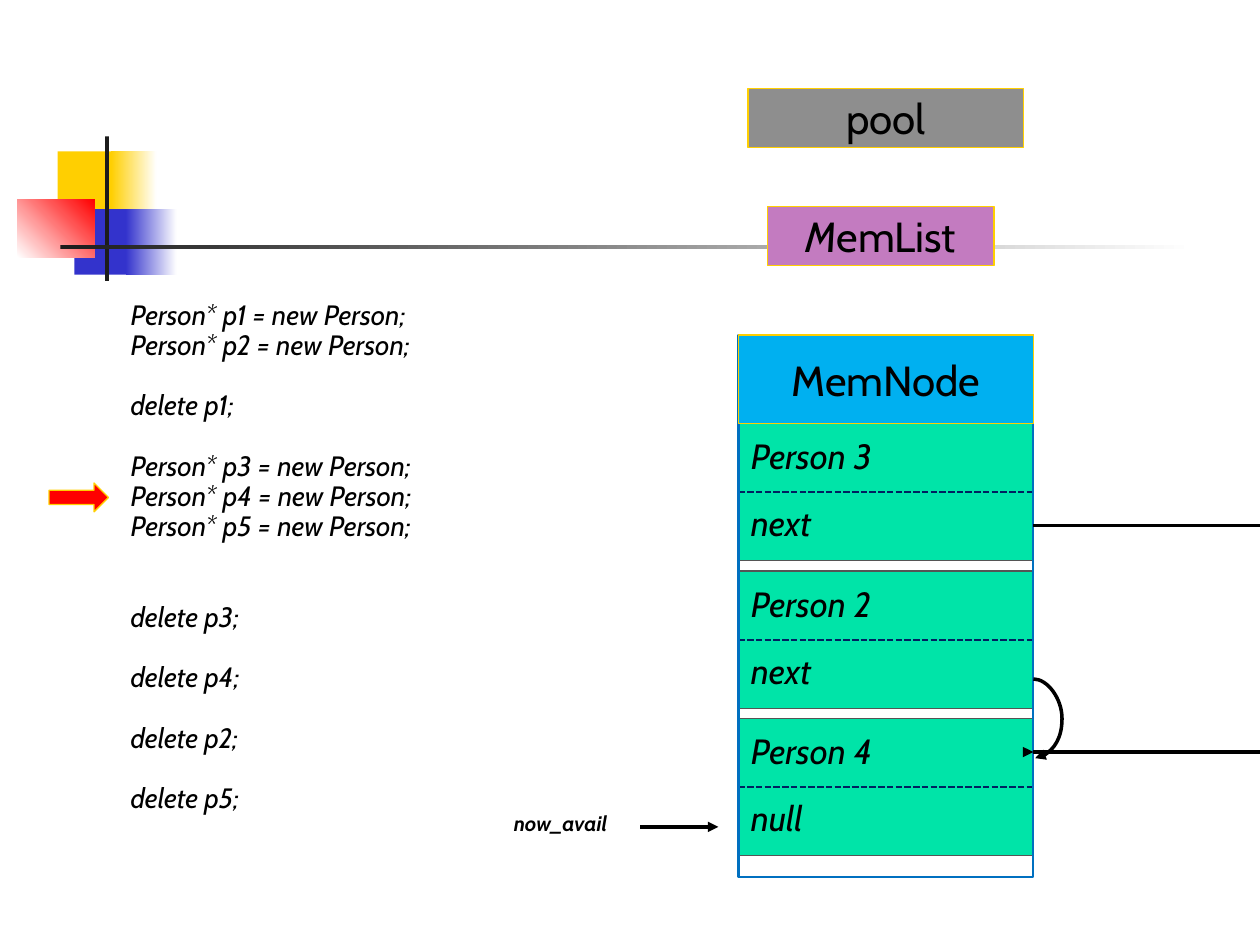
from pptx import Presentation
from pptx.dml.color import RGBColor
from pptx.enum.dml import MSO_LINE
from pptx.enum.shapes import MSO_CONNECTOR, MSO_SHAPE
from pptx.enum.text import MSO_ANCHOR, PP_ALIGN
from pptx.oxml.ns import qn
from pptx.util import Pt
from lxml.etree import SubElement

FONT = "Cabin"
BLACK = RGBColor(0x00, 0x00, 0x00)
WHITE = RGBColor(0xFF, 0xFF, 0xFF)
CHARCOAL = RGBColor(0x1C, 0x1C, 0x1C)
GRAY = RGBColor(0x8E, 0x8E, 0x8E)
DARK_GRAY = RGBColor(0x55, 0x55, 0x55)
YELLOW = RGBColor(0xFF, 0xCF, 0x01)
INDIGO = RGBColor(0x33, 0x33, 0xCC)
RED = RGBColor(0xFF, 0x00, 0x00)
PURPLE = RGBColor(0xC3, 0x7B, 0xC0)
SKY = RGBColor(0x00, 0xB0, 0xF0)
GREEN = RGBColor(0x00, 0xE4, 0xA8)
BLUE = RGBColor(0x00, 0x70, 0xC0)
NAVY = RGBColor(0x00, 0x20, 0x60)

NODE_LEFT, NODE_WIDTH = 422, 168.5
NODE_RIGHT = NODE_LEFT + NODE_WIDTH
BLOCK_TOP, BLOCK_HEIGHT, BLOCK_PITCH = 242, 78.5, 84.25
SLIDE_WIDTH, SLIDE_HEIGHT = 720, 540
CODE_PITCH = 17.25
BLOCKS = [("Person 3", "next"), ("Person 2", "next"), ("Person 4", "null")]
CODE = [
    (0, "Person* p1 = new Person;"),
    (0, "Person* p2 = new Person;"),
    (1, "delete p1;"),
    (1, "Person* p3 = new Person;"),
    (0, "Person* p4 = new Person;"),
    (0, "Person* p5 = new Person;"),
    (2, "delete p3;"),
    (1, "delete p4;"),
    (1, "delete p2;"),
    (1, "delete p5;"),
]


def add_run(paragraph, text, size, italic=False, bold=False):
    """Append one black run to a paragraph."""
    run = paragraph.add_run()
    run.text = text
    run.font.name = FONT
    run.font.size = Pt(size)
    run.font.italic = italic
    run.font.bold = bold
    run.font.color.rgb = BLACK


def add_box(slide, box, fill=None, line=None, width=0.75, kind=MSO_SHAPE.RECTANGLE):
    """Add a preset shape with an optional solid fill and outline."""
    shape = slide.shapes.add_shape(kind, *map(Pt, box))
    shape.shadow.inherit = False
    if fill is None:
        shape.fill.background()
    else:
        shape.fill.solid()
        shape.fill.fore_color.rgb = fill
    if line is None:
        shape.line.fill.background()
    else:
        shape.line.color.rgb = line
        shape.line.width = Pt(width)
    return shape


def add_gradient_box(slide, box, start, end, angle=0):
    """Add a borderless rectangle that fades between two colours."""
    shape = add_box(slide, box, start)
    shape.fill.gradient()
    shape.fill.gradient_angle = angle
    for stop, color in zip(shape.fill.gradient_stops, (start, end)):
        stop.color.rgb = color


def add_label_box(slide, box, fill, runs):
    """Add a yellow-edged rectangle with a centred label."""
    frame = add_box(slide, box, fill, YELLOW).text_frame
    frame.word_wrap = False
    frame.vertical_anchor = MSO_ANCHOR.MIDDLE
    paragraph = frame.paragraphs[0]
    paragraph.alignment = PP_ALIGN.CENTER
    for text, italic in runs:
        add_run(paragraph, text, 24, italic)


def add_text(slide, box, lines, size, bold=False):
    """Add italic lines, each with a number of line gaps before it."""
    frame = slide.shapes.add_textbox(*map(Pt, box)).text_frame
    frame.word_wrap = True
    for index, (gaps, text) in enumerate(lines):
        paragraph = frame.add_paragraph() if index else frame.paragraphs[0]
        paragraph.line_spacing = 0.9
        if gaps:
            paragraph.space_before = Pt(gaps * CODE_PITCH)
        add_run(paragraph, text, size, True, bold)


def add_line(slide, start, end, color=BLACK, width=2, arrow=False, kind=MSO_CONNECTOR.STRAIGHT):
    """Add a connector, with an arrowhead at its end if wanted."""
    connector = slide.shapes.add_connector(kind, *map(Pt, (*start, *end)))
    connector.line.color.rgb = color
    connector.line.width = Pt(width)
    if arrow:
        SubElement(connector.line._get_or_add_ln(), qn("a:tailEnd"), type="triangle")
    SubElement(connector._element.spPr, qn("a:effectLst"))
    return connector


def add_curve(slide, start, end, bulge):
    """Add a curved arrow that swings out to the right by the bulge."""
    connector = add_line(slide, start, end, arrow=True, kind=MSO_CONNECTOR.CURVE)
    geometry = connector._element.spPr.find(qn("a:prstGeom"))
    guides = geometry.get_or_add_avLst()
    ratio = round(bulge / (end[0] - start[0]) * 100000)
    SubElement(guides, qn("a:gd"), name="adj1", fmla=f"val {ratio}")


def add_decoration(slide):
    """Draw the coloured squares and the crossing rules."""
    add_box(slide, (33, 86.5, 34.5, 37.5), YELLOW)
    add_gradient_box(slide, (63.5, 86.5, 26, 37.5), YELLOW, WHITE)
    add_box(slide, (42.5, 119.5, 33, 37.5), INDIGO)
    add_gradient_box(slide, (72, 119.5, 29, 37.5), INDIGO, WHITE)
    add_gradient_box(slide, (10, 113.75, 44, 33.25), WHITE, RED, 45)
    add_box(slide, (60, 78, 2.25, 82.5), CHARCOAL)
    add_gradient_box(slide, (34.5, 140.25, 648, 2.25), CHARCOAL, WHITE)


def add_block(slide, top, name, link):
    """Draw one memory block split by a dashed line."""
    block = add_box(slide, (NODE_LEFT, top, NODE_WIDTH, BLOCK_HEIGHT), GREEN, DARK_GRAY)
    middle = top + BLOCK_HEIGHT / 2
    divider = add_line(slide, (NODE_LEFT, middle), (NODE_RIGHT, middle), NAVY, 1.25)
    divider.line.dash_style = MSO_LINE.SQUARE_DOT
    divider.begin_connect(block, 1)
    divider.end_connect(block, 3)
    for offset, text in ((5.5, name), (44, link)):
        add_text(slide, (NODE_LEFT, top + offset, NODE_WIDTH, 29), [(0, text)], 20)


def add_node(slide):
    """Draw the node with its header, blocks and frame."""
    for index, (name, link) in enumerate(BLOCKS):
        add_block(slide, BLOCK_TOP + index * BLOCK_PITCH, name, link)
    add_box(slide, (NODE_LEFT, 191.5, NODE_WIDTH, 309.5), line=BLUE, width=1.25)
    header = (NODE_LEFT, 191.5, NODE_WIDTH, 50.5)
    add_label_box(slide, header, SKY, [("MemNode", False)])


def add_links(slide):
    """Draw the arrows that link the blocks."""
    add_line(slide, (NODE_RIGHT, 300.25), (SLIDE_WIDTH, 300.25))
    add_line(slide, (NODE_RIGHT, 429.75), (SLIDE_WIDTH, 429.75))
    add_line(slide, (NODE_RIGHT - 5, 429.75), (NODE_RIGHT, 429.75), arrow=True)
    add_curve(slide, (NODE_RIGHT, 388), (NODE_RIGHT + 1, 433.25), 16.5)


def main():
    """Build the slide and save it."""
    presentation = Presentation()
    presentation.slide_width = Pt(SLIDE_WIDTH)
    presentation.slide_height = Pt(SLIDE_HEIGHT)
    slide = presentation.slides.add_slide(presentation.slide_layouts[6])
    add_decoration(slide)
    add_text(slide, (67.5, 168.5, 204, 321), CODE, 16)
    add_label_box(slide, (427.5, 50.5, 157.5, 33.75), GRAY, [("pool", False)])
    add_label_box(slide, (438.5, 118, 129.5, 33.75), PURPLE, [("M", True), ("emList", False)])
    add_node(slide)
    add_box(slide, (28, 276, 34, 16.5), RED, YELLOW, kind=MSO_SHAPE.RIGHT_ARROW)
    add_text(slide, (286.5, 461.5, 78.5, 20), [(0, "now_avail")], 12, bold=True)
    add_line(slide, (365.75, 472.5), (410.5, 472.5), arrow=True)
    add_links(slide)
    presentation.save("out.pptx")


if __name__ == "__main__":
    main()
